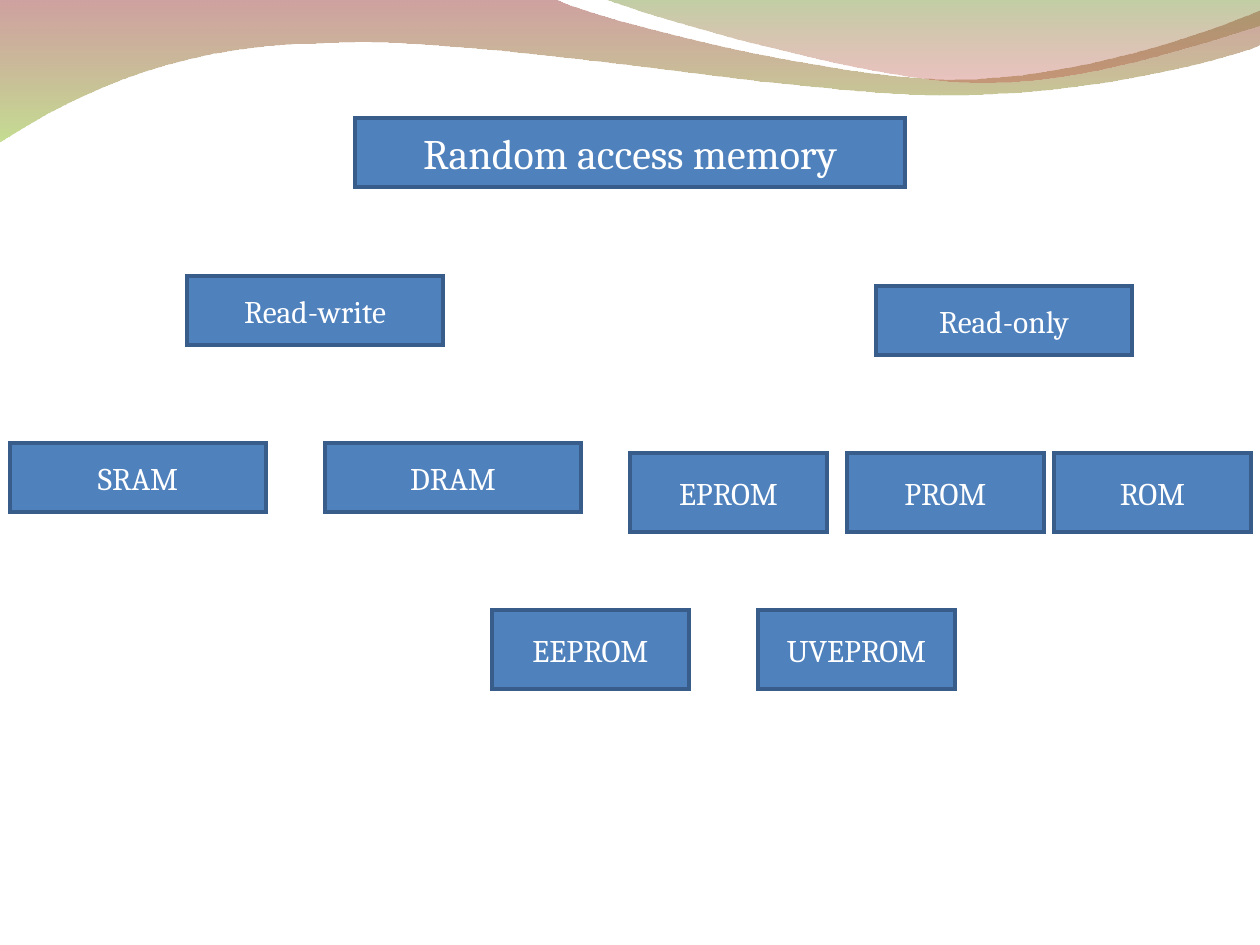
from dataclasses import dataclass

from lxml.etree import SubElement
from pptx import Presentation
from pptx.dml.color import RGBColor as Color
from pptx.enum.shapes import MSO_SHAPE as Preset
from pptx.enum.text import MSO_ANCHOR as Anchor, PP_ALIGN as Align
from pptx.oxml.ns import qn
from pptx.util import Emu, Pt

EMU_PER_PX = 914400 / 126


@dataclass(frozen=True)
class Theme:
    font: str = "Cambria"
    box_fill: str = "4F81BD"
    box_line: str = "385D8A"
    box_text: str = "FFFFFF"
    line_width: int = 2
    title_size: int = 24
    label_size: int = 18
    # Gradient stops from top to bottom: colour and opacity in percent
    red_to_green: tuple = (("95302E", 45), ("95C237", 55))
    green_to_red: tuple = (("749434", 45), ("BD322E", 30))


THEME = Theme()

# Each segment is one end point (straight) or two controls and an end (curve)
LONG_WAVE = [
    [(554, -1)],
    [(600, 21), (837, 79), (955, 79)],
    [(1075, 79), (1207, 33), (1260, 11)],
    [(1261, 45)],
    [(1239, 55), (1096, 96), (940, 95)],
    [(784, 94), (481, 35), (324, 43)],
    [(163, 44), (58, 105), (-1, 142)],
]
SHORT_WAVE = [
    [(641, 14), (859, 78), (969, 82)],
    [(1079, 87), (1211, 40), (1260, 26)],
    [(1260, 0)],
]

# Box sizes, and rows of equal boxes: top, size, {label: left}
WIDE, NARROW = (256, 69), (197, 79)
ROWS = [
    (276, WIDE, {"Read-write": 187}),
    (286, WIDE, {"Read-only": 876}),
    (443, WIDE, {"SRAM": 10, "DRAM": 325}),
    (453, NARROW, {"EPROM": 630, "PROM": 847, "ROM": 1054}),
    (610, NARROW, {"EEPROM": 492, "UVEPROM": 758}),
]


def px(length):
    return Emu(round(length * EMU_PER_PX))


def bend_segments(shape, segments):
    """Merge the three line steps of each curved segment into one Bezier."""
    steps = iter(list(shape._element.spPr.iter(qn("a:lnTo"))))
    for segment in segments:
        first, *others = [next(steps) for _ in segment]
        if others:
            first.tag = qn("a:cubicBezTo")
        for step in others:
            first.append(step[0])
            step.getparent().remove(step)


def add_wave(slide, start, segments, stops):
    points = [start] + [point for segment in segments for point in segment]
    outline = [(px(x), px(y)) for x, y in points]
    builder = slide.shapes.build_freeform(*outline[0])
    builder.add_line_segments(outline[1:], close=True)
    shape = builder.convert_to_shape()
    bend_segments(shape, segments)
    shape.shadow.inherit = False
    shape.line.fill.background()

    # Vertical gradient with translucent stops
    shape.fill.gradient()
    shape.fill.gradient_angle = 270
    for stop, (colour, _) in zip(shape.fill.gradient_stops, stops):
        stop.color.rgb = Color.from_string(colour)
    colour_elements = list(shape._element.spPr.iter(qn("a:srgbClr")))
    for element, (_, opacity) in zip(colour_elements, stops):
        SubElement(element, qn("a:alpha")).set("val", str(opacity * 1000))


def add_box(slide, label, left, top, size, text_size):
    shape = slide.shapes.add_shape(Preset.RECTANGLE, px(left), px(top), *map(px, size))
    shape.shadow.inherit = False
    shape.fill.solid()
    shape.fill.fore_color.rgb = Color.from_string(THEME.box_fill)
    shape.line.color.rgb = Color.from_string(THEME.box_line)
    shape.line.width = Pt(THEME.line_width)
    # Square corners
    SubElement(shape._element.spPr.find(qn("a:ln")), qn("a:miter")).set("lim", "800000")

    frame = shape.text_frame
    frame.word_wrap = True
    frame.vertical_anchor = Anchor.MIDDLE
    paragraph = frame.paragraphs[0]
    paragraph.alignment = Align.CENTER
    run = paragraph.add_run()
    run.text = label
    run.font.name = THEME.font
    run.font.size = Pt(text_size)
    run.font.color.rgb = Color.from_string(THEME.box_text)


def main():
    presentation = Presentation()
    presentation.slide_width, presentation.slide_height = px(1260), px(945)
    slide = presentation.slides.add_slide(presentation.slide_layouts[6])

    # Waves along the top edge
    add_wave(slide, (0, -1), LONG_WAVE, THEME.red_to_green)
    add_wave(slide, (604, -1), SHORT_WAVE, THEME.green_to_red)

    # Title box and the memory types below it
    add_box(slide, "Random access memory", 355, 118, (550, 69), THEME.title_size)
    for top, size, boxes in ROWS:
        for label, left in boxes.items():
            add_box(slide, label, left, top, size, THEME.label_size)

    presentation.save("out.pptx")


if __name__ == "__main__":
    main()
